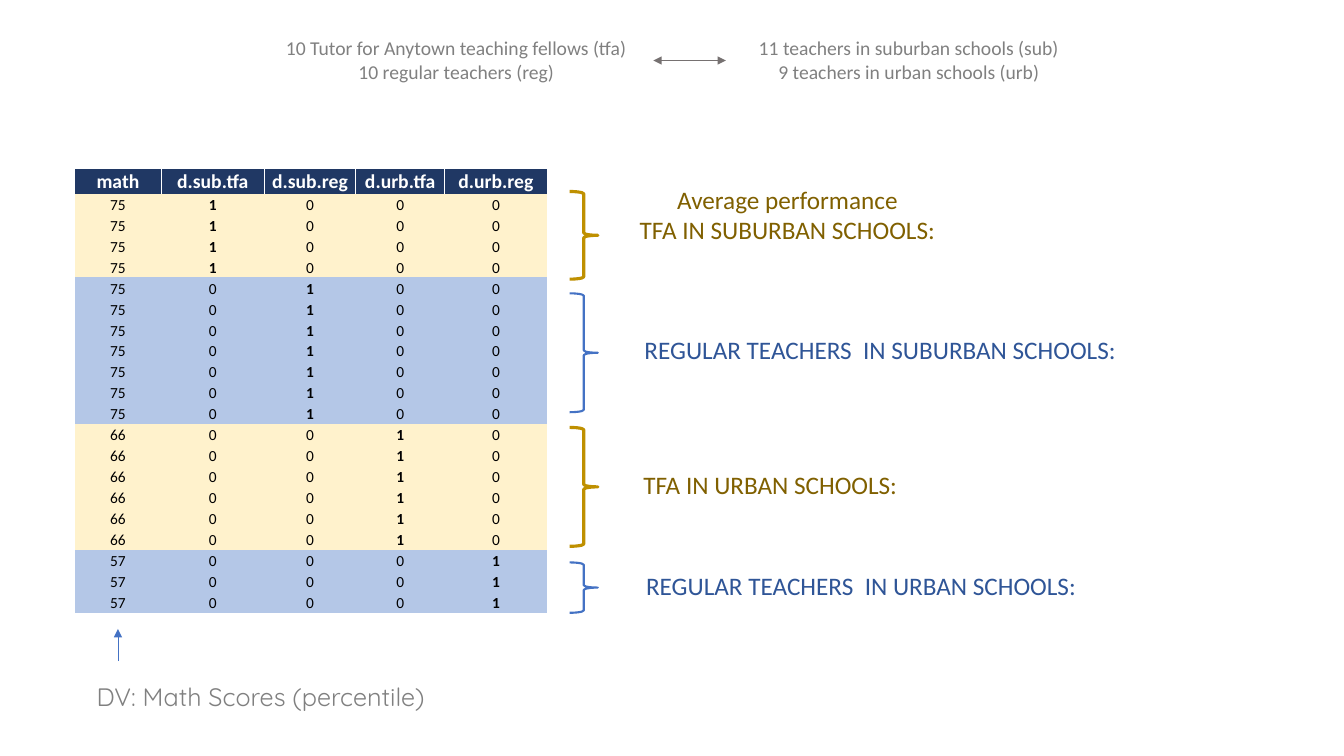
from lxml.etree import SubElement
from pptx import Presentation
from pptx.dml.color import RGBColor
from pptx.enum.shapes import MSO_CONNECTOR, MSO_SHAPE
from pptx.enum.text import MSO_ANCHOR, MSO_AUTO_SIZE, PP_ALIGN
from pptx.oxml.ns import qn
from pptx.util import Inches, Pt

HEADERS = ["math", "d.sub.tfa", "d.sub.reg", "d.urb.tfa", "d.urb.reg"]
COL_WIDTHS = [0.86, 1.02, 0.91, 0.88, 1.02]
HEADER_HEIGHT = 0.25
NO_STYLE = "{2D5ABB26-0587-4C30-8999-92F81FD0307C}"
GREY = "808080"
TFA = {"fill": "FFF2CC", "line": "BF9000", "weight": 2.25, "text": "806000"}
REG = {"fill": "B4C7E7", "line": "4472C4", "weight": 1.5, "text": "2F5597"}

GROUPS = [
    (75, 4, TFA, (5.65, 1.9, 0.28, 0.87), (6.23, 1.78, 3.16, 0.71),
     ["Average performance", "TFA IN SUBURBAN SCHOOLS:"]),
    (75, 7, REG, (5.65, 2.91, 0.28, 1.18), (6.27, 3.27, 4.92, 0.4),
     ["REGULAR TEACHERS  IN SUBURBAN SCHOOLS:"]),
    (66, 6, TFA, (5.65, 4.24, 0.28, 1.18), (6.27, 4.61, 2.74, 0.4),
     ["TFA IN URBAN SCHOOLS:"]),
    (57, 3, REG, (5.65, 5.58, 0.28, 0.5), (6.23, 5.61, 4.62, 0.4),
     ["REGULAR TEACHERS  IN URBAN SCHOOLS:"]),
]


def color(value):
    return RGBColor.from_string(value)


def inches(box):
    return [Inches(v) for v in box]


def add_run(p, text, size, hex_color, font="Calibri", bold=False):
    r = p.add_run()
    r.text = text
    r.font.name = font
    r.font.size = Pt(size)
    r.font.bold = bold
    r.font.color.rgb = color(hex_color)


def add_text(s, box, lines, size, hex_color, font="Calibri", align=PP_ALIGN.CENTER):
    tf = s.shapes.add_textbox(*inches(box)).text_frame
    tf.word_wrap = False
    tf.auto_size = MSO_AUTO_SIZE.SHAPE_TO_FIT_TEXT
    for i, line in enumerate(lines):
        p = tf.add_paragraph() if i else tf.paragraphs[0]
        p.alignment = align
        add_run(p, line, size, hex_color, font)


def add_arrow(s, start, end, hex_color, ends):
    sp = s.shapes.add_connector(MSO_CONNECTOR.STRAIGHT, *inches(start + end))
    sp.line.color.rgb = color(hex_color)
    sp.line.width = Pt(0.5)
    ln = sp.line._get_or_add_ln()
    for end_name in ends:
        SubElement(ln, qn("a:" + end_name), type="triangle")
    SubElement(sp._element.spPr, qn("a:effectLst"))


def add_borders(cell, hex_color):
    tc_pr = cell._tc.get_or_add_tcPr()
    for i, side in enumerate(["lnL", "lnR", "lnT"]):
        ln = SubElement(tc_pr, qn("a:" + side), w=str(Pt(1)))
        fill = SubElement(ln, qn("a:solidFill"))
        SubElement(fill, qn("a:srgbClr"), val=hex_color)
        tc_pr.insert(i, ln)


def fill_cell(cell, text, size, hex_color, fill, bold):
    cell.margin_left = cell.margin_right = cell.margin_top = Inches(0.01)
    cell.margin_bottom = 0
    cell.vertical_anchor = MSO_ANCHOR.BOTTOM
    cell.fill.solid()
    cell.fill.fore_color.rgb = color(fill)
    p = cell.text_frame.paragraphs[0]
    p.alignment = PP_ALIGN.CENTER
    add_run(p, text, size, hex_color, bold=bold)


def add_dummy_table(s, box):
    rows = [(score, dummy, style["fill"])
            for dummy, (score, count, style, *_) in enumerate(GROUPS, 1)
            for _ in range(count)]
    table = s.shapes.add_table(len(rows) + 1, len(HEADERS), *inches(box)).table
    table.first_row = table.horz_banding = False
    table._tbl.tblPr.find(qn("a:tableStyleId")).text = NO_STYLE
    for col, width in zip(table.columns, COL_WIDTHS):
        col.width = Inches(width)
    for row in table.rows:
        row.height = Inches((box[3] - HEADER_HEIGHT) / len(rows))
    table.rows[0].height = Inches(HEADER_HEIGHT)
    for c, name in enumerate(HEADERS):
        fill_cell(table.cell(0, c), name, 14, "FFFFFF", "203864", True)
        add_borders(table.cell(0, c), "FFFFFF")
    for r, (score, dummy, fill) in enumerate(rows, 1):
        for c in range(len(HEADERS)):
            value = score if c == 0 else int(c == dummy)
            fill_cell(table.cell(r, c), str(value), 11, "000000", fill, c == dummy)


def add_group_label(s, brace_box, label_box, style, lines):
    sp = s.shapes.add_shape(MSO_SHAPE.RIGHT_BRACE, *inches(brace_box))
    sp.shadow.inherit = False
    sp.fill.background()
    sp.line.color.rgb = color(style["line"])
    sp.line.width = Pt(style["weight"])
    add_text(s, label_box, lines, 18, style["text"])


def add_sample_summary(s, box):
    x, y, w, h = box
    add_text(s, (x, y, 3.59, h),
             ["10 Tutor for Anytown teaching fellows (tfa)", "10 regular teachers (reg)"],
             14, GREY)
    add_text(s, (x + w - 3.21, y, 3.21, h),
             ["11 teachers in suburban schools (sub)", "9 teachers in urban schools (urb)"],
             14, GREY)
    add_arrow(s, (x + 3.75, y + 0.29), (x + 4.47, y + 0.29), "767171",
              ["headEnd", "tailEnd"])


def add_outcome_note(s, box):
    x, y, w, h = box
    add_arrow(s, (x + 0.31, y + 0.32), (x + 0.31, y), "4472C4", ["tailEnd"])
    add_text(s, (x, y + h - 0.4, w, 0.4), ["DV: Math Scores (percentile)"],
             18, GREY, "Quicksand", PP_ALIGN.LEFT)


prs = Presentation()
prs.slide_width, prs.slide_height = inches((13.33, 7.5))
s = prs.slides.add_slide(prs.slide_layouts[6])
add_sample_summary(s, (2.73, 0.31, 7.89, 0.57))
add_dummy_table(s, (0.74, 1.67, 4.69, 4.41))
for _, _, style, brace_box, label_box, lines in GROUPS:
    add_group_label(s, brace_box, label_box, style, lines)
add_outcome_note(s, (0.86, 6.24, 3.84, 0.87))
prs.save("out.pptx")
